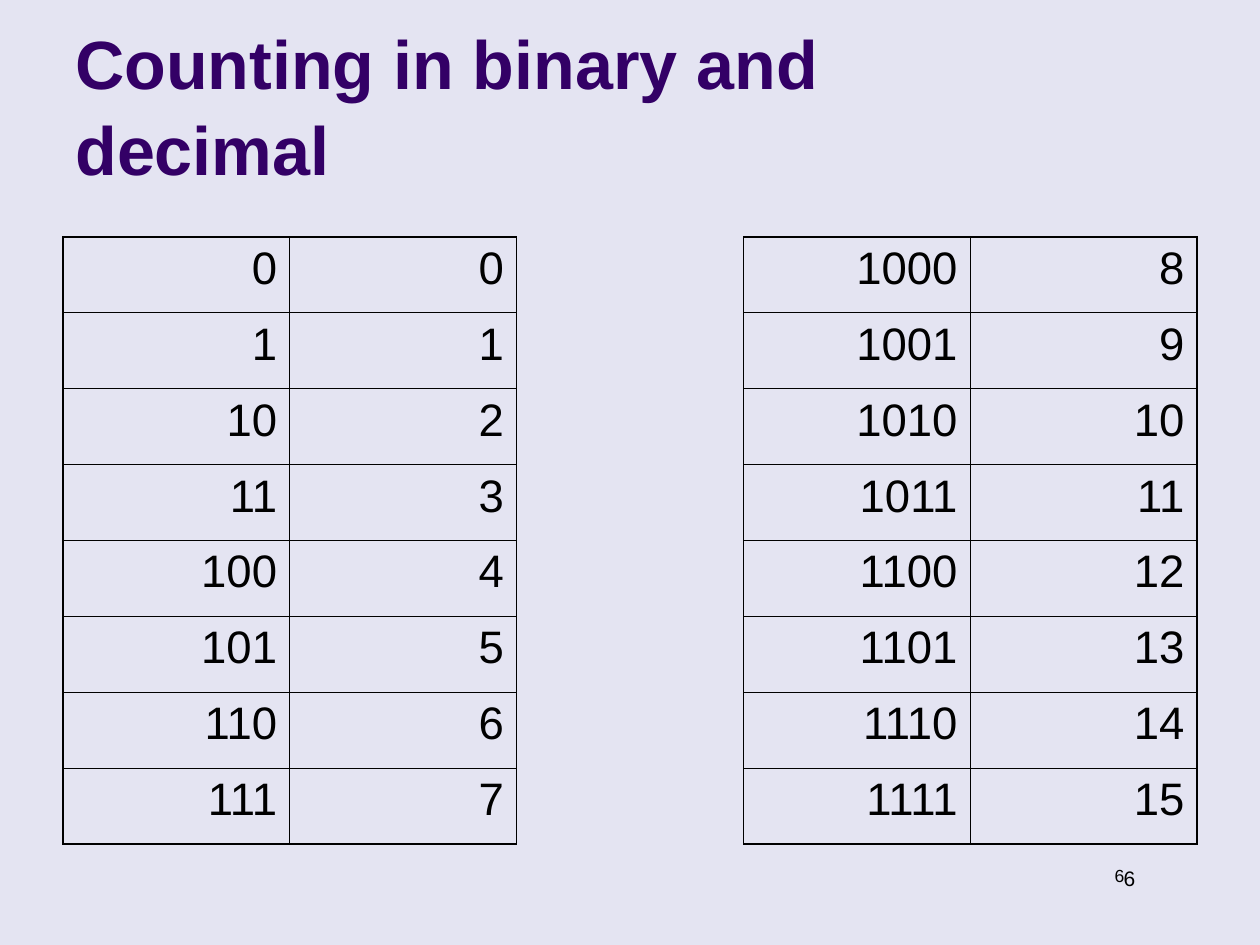
from dataclasses import dataclass
from typing import Optional

from lxml.etree import SubElement
from pptx import Presentation
from pptx.dml.color import RGBColor
from pptx.enum.text import MSO_ANCHOR, PP_ALIGN
from pptx.oxml.ns import qn
from pptx.util import Inches, Pt


@dataclass(frozen=True)
class Theme:
    font: str = "Arial"
    background: str = "E4E4F2"
    title: str = "330066"
    ink: str = "000000"
    title_size: float = 39
    cell_size: float = 26
    outer_line: float = 1.08
    inner_line: float = 0.45


@dataclass(frozen=True)
class Label:
    text: str
    left: float
    top: float
    width: float
    height: float
    size: float
    color: str
    bold: bool = False
    align: PP_ALIGN = PP_ALIGN.LEFT
    anchor: MSO_ANCHOR = MSO_ANCHOR.TOP
    wrap: bool = True
    line_spacing: float = 1.0


THEME = Theme()
ROWS, COLS = 8, 5
GAP_COL = 2

LABELS = [
    Label("Counting in binary and decimal", 0.5, 0.13, 8.25, 1.42, THEME.title_size,
          THEME.title, bold=True, anchor=MSO_ANCHOR.BOTTOM, line_spacing=1.05),
    # Page number, shown in two sizes
    Label("6", 6.97, 6.82, 2.05, 0.27, 10, THEME.ink, align=PP_ALIGN.RIGHT),
    Label("6", 8.82, 6.82, 0.96, 0.3, 12, THEME.ink, wrap=False),
]


def style(p, size: float, color: str, align: PP_ALIGN, bold: bool = False) -> None:
    p.alignment = align
    p.font.name = THEME.font
    p.font.size = Pt(size)
    p.font.bold = bold
    p.font.color.rgb = RGBColor.from_string(color)


def add_label(slide, label: Label) -> None:
    box = slide.shapes.add_textbox(*map(Inches, (label.left, label.top, label.width, label.height)))
    tf = box.text_frame
    tf.word_wrap = label.wrap
    tf.vertical_anchor = label.anchor
    p = tf.paragraphs[0]
    p.text = label.text
    p.line_spacing = label.line_spacing
    style(p, label.size, label.color, label.align, label.bold)


def set_border(cell, index: int, side: str, width: Optional[float]) -> None:
    """Give one side a line, or none when width is None."""
    tc_pr = cell._tc.get_or_add_tcPr()
    ln = SubElement(tc_pr, qn(f"a:ln{side}"))
    tc_pr.insert(index, ln)
    if width is None:
        SubElement(ln, qn("a:noFill"))
        return
    ln.set("w", str(int(Pt(width))))
    fill = SubElement(ln, qn("a:solidFill"))
    SubElement(fill, qn("a:srgbClr"), val=THEME.ink)


def border_widths(row: int, col: int) -> dict[str, Optional[float]]:
    def line(is_outer: bool) -> float:
        return THEME.outer_line if is_outer else THEME.inner_line

    gap = col == GAP_COL
    return {
        "L": line(col == 0),
        "R": line(col == COLS - 1),
        "T": None if gap else line(row == 0),
        "B": None if gap else line(row == ROWS - 1),
    }


def add_counting_table(slide) -> None:
    frame = slide.shapes.add_table(ROWS, COLS, Inches(0.5), Inches(1.88), Inches(9), Inches(4.82))
    table = frame.table
    table.first_row = table.horz_banding = False
    for row in range(ROWS):
        high = row + ROWS
        texts = (f"{row:b}", str(row), "", f"{high:b}", str(high))
        for col, text in enumerate(texts):
            cell = table.cell(row, col)
            cell.fill.background()
            for index, (side, width) in enumerate(border_widths(row, col).items()):
                set_border(cell, index, side, width)
            if text:
                p = cell.text_frame.paragraphs[0]
                p.text = text
                style(p, THEME.cell_size, THEME.ink, PP_ALIGN.RIGHT)


def main() -> None:
    prs = Presentation()
    prs.slide_width, prs.slide_height = Inches(10), Inches(7.5)
    slide = prs.slides.add_slide(prs.slide_layouts[6])
    slide.background.fill.solid()
    slide.background.fill.fore_color.rgb = RGBColor.from_string(THEME.background)

    # Title and page number
    for label in LABELS:
        add_label(slide, label)

    # Binary and decimal side by side, 0-7 then 8-15
    add_counting_table(slide)
    prs.save("out.pptx")


if __name__ == "__main__":
    main()
